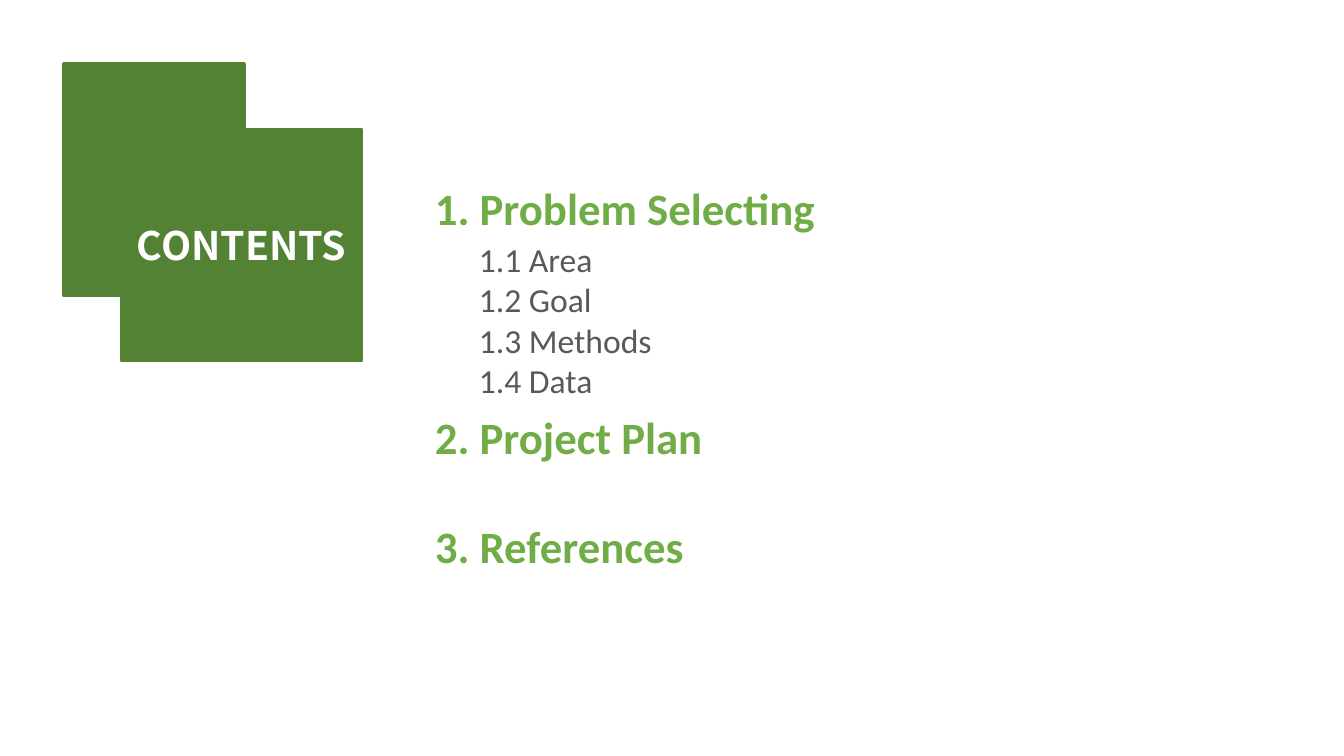
from dataclasses import dataclass

from pptx import Presentation
from pptx import util as u
from pptx.dml.color import RGBColor
from pptx.enum import shapes, text

PX = 12192000 / 1344  # EMU per px

DARK = "548235"
GREEN = "70AD47"
GREY = "595959"
WHITE = "FFFFFF"


@dataclass
class Box:
    x: int
    y: int
    w: int
    h: int

    def emu(self) -> list[int]:
        return [round(n * PX) for n in (self.x, self.y, self.w, self.h)]


@dataclass
class Block:
    box: Box
    lines: list[str]
    size: int
    hue: str
    bold: bool = False
    gap: int = 0  # points between paragraphs


@dataclass
class Tile:
    box: Box
    edge: float
    label: str = ""


TILES = [
    Tile(Box(64, 64, 180, 232), 2.25),
    Tile(Box(121, 129, 241, 232), 1, "CONTENTS"),
]

BLOCKS = [
    Block(Box(425, 176, 404, 65), ["1. Problem Selecting"], 32, GREEN, True),
    Block(Box(469, 234, 369, 219),
          ["1.1 Area", "1.2 Goal", "1.3 Methods", "1.4 Data"], 24, GREY),
    Block(Box(425, 405, 521, 173),
          ["2. Project Plan", "3. References"], 32, GREEN, True, 39),
]


def color(code: str) -> RGBColor:
    return RGBColor.from_string(code)


def style(para, face: str, size: int, hue: str, bold: bool) -> None:
    for run in para.runs:
        font = run.font
        font.name, font.size, font.bold = face, u.Pt(size), bold
        font.color.rgb = color(hue)


def draw_tile(slide, tile: Tile) -> None:
    shape = slide.shapes.add_shape(shapes.MSO_SHAPE.RECTANGLE, *tile.box.emu())
    shape.shadow.inherit = False
    shape.fill.solid()
    shape.fill.fore_color.rgb = color(DARK)
    shape.line.color.rgb = color(DARK)
    shape.line.width = u.Pt(tile.edge)
    if tile.label:
        frame = shape.text_frame
        frame.text = tile.label
        frame.vertical_anchor = text.MSO_ANCHOR.MIDDLE
        para = frame.paragraphs[0]
        para.alignment = text.PP_ALIGN.CENTER
        style(para, "Noto Sans CJK KR", 28, WHITE, True)


def draw_block(slide, block: Block) -> None:
    frame = slide.shapes.add_textbox(*block.box.emu()).text_frame
    frame.word_wrap = True
    frame.text = "\n".join(block.lines)
    for i, para in enumerate(frame.paragraphs):
        if i and block.gap:
            para.space_before = u.Pt(block.gap)
        style(para, "Calibri", block.size, block.hue, block.bold)


def main() -> None:
    deck = Presentation()
    deck.slide_width, deck.slide_height = round(1344 * PX), round(756 * PX)
    slide = deck.slides.add_slide(deck.slide_layouts[6])

    # Title tiles
    for tile in TILES:
        draw_tile(slide, tile)

    # Outline of sections
    for block in BLOCKS:
        draw_block(slide, block)

    deck.save("out.pptx")


if __name__ == "__main__":
    main()
